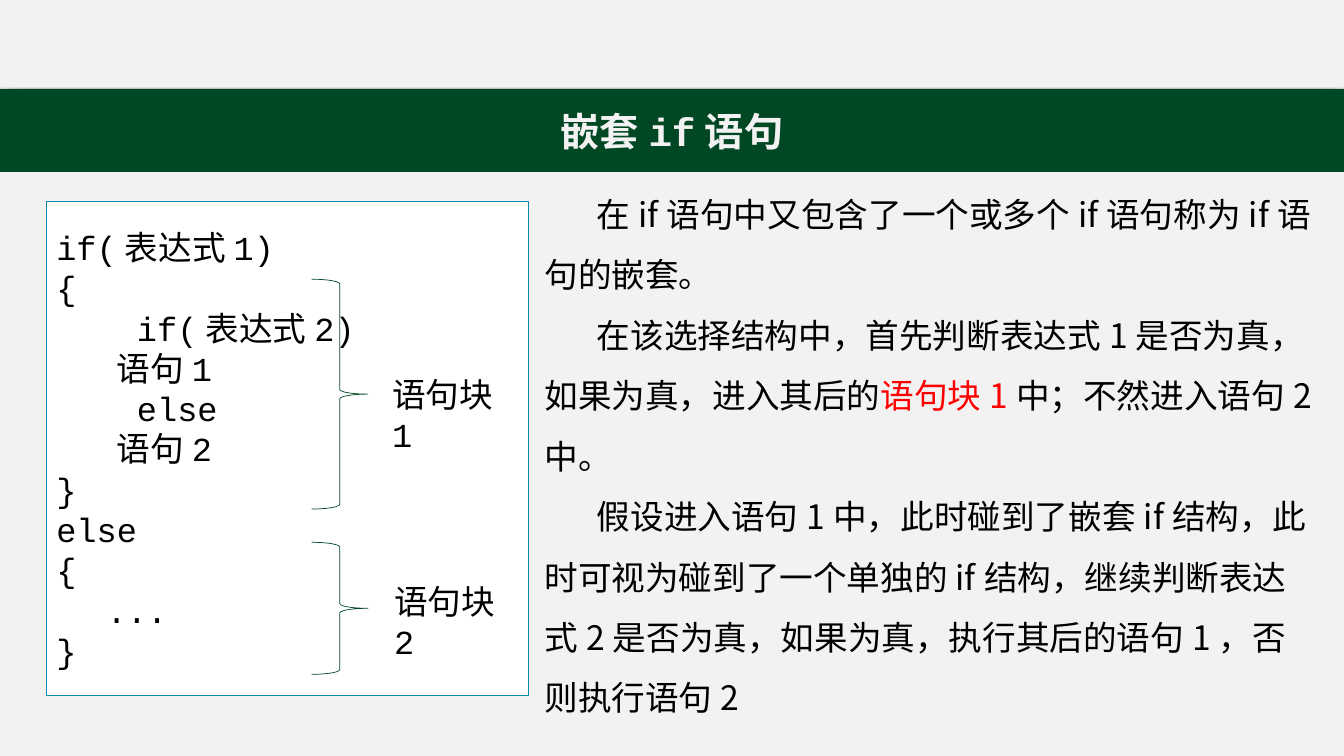
from dataclasses import dataclass

from lxml.etree import SubElement
from pptx import Presentation
from pptx.dml.color import RGBColor
from pptx.enum.shapes import MSO_SHAPE as Preset
from pptx.enum.text import MSO_ANCHOR as Anchor
from pptx.enum.text import MSO_AUTO_SIZE as AutoSize
from pptx.enum.text import PP_ALIGN as Align
from pptx.oxml.ns import qn
from pptx.shapes.base import BaseShape
from pptx.slide import Slide
from pptx.text.text import TextFrame, _Paragraph as Paragraph
from pptx.util import Inches, Pt


@dataclass(frozen=True)
class Theme:
    paper: str = "F2F2F2"
    white: str = "FFFFFF"
    green: str = "004723"
    teal: str = "0989B1"
    ink: str = "000000"
    accent: str = "FF0000"
    sans: str = "Noto Sans CJK SC"
    mono: str = "Courier New"
    title_size: int = 28
    text_size: int = 24


@dataclass(frozen=True)
class Box:
    left: float
    top: float
    width: float
    height: float

    def lengths(self) -> tuple:
        return tuple(Inches(v) for v in (self.left, self.top, self.width, self.height))


@dataclass(frozen=True)
class Span:
    text: str
    font: str
    color: str


@dataclass(frozen=True)
class Block:
    brace: Box
    label: Box
    text: str


THEME = Theme()

TITLE = [Span("嵌套", THEME.sans, THEME.paper),
         Span("if", THEME.mono, THEME.paper),
         Span("语句", THEME.sans, THEME.paper)]

CODE = """if(表达式1)
{
    if(表达式2)
        语句1
    else
        语句2
}
else
{
\t...
}"""

EXPLANATION = [
    [Span("在if语句中又包含了一个或多个if语句称为if语句的嵌套。", THEME.sans, THEME.ink)],
    [Span("在该选择结构中，首先判断表达式1是否为真，如果为真，进入其后的", THEME.sans, THEME.ink),
     Span("语句块1", THEME.sans, THEME.accent),
     Span("中；不然进入语句2中。", THEME.sans, THEME.ink)],
    [Span("假设进入语句1中，此时碰到了嵌套if结构，此时可视为碰到了一个单独的if结构，"
          "继续判断表达式2是否为真，如果为真，执行其后的语句1，否则执行语句2",
          THEME.sans, THEME.ink)],
]

BLOCKS = [
    Block(Box(3.09, 2.77, 0.56, 2.28), Box(3.79, 3.66, 1.43, 0.5), "语句块1"),
    Block(Box(3.09, 5.38, 0.56, 1.31), Box(3.81, 5.71, 1.43, 0.5), "语句块2"),
]


def rgb(color: str) -> RGBColor:
    return RGBColor.from_string(color)


def add_spans(paragraph: Paragraph, spans: list[Span], size: int, bold: bool = False) -> None:
    for span in spans:
        run = paragraph.add_run()
        run.text = span.text
        run.font.size = Pt(size)
        run.font.bold = bold
        run.font.name = span.font
        run.font.color.rgb = rgb(span.color)
        SubElement(run.font._element, qn("a:ea"), typeface=THEME.sans)


def fill_frame(frame: TextFrame, lines: list[list[Span]]) -> list[Paragraph]:
    frame.word_wrap = True
    for index, spans in enumerate(lines):
        paragraph = frame.add_paragraph() if index else frame.paragraphs[0]
        paragraph.alignment = Align.LEFT
        add_spans(paragraph, spans, THEME.text_size)
    return list(frame.paragraphs)


def add_preset(slide: Slide, preset: Preset, box: Box, fill: str = "",
               line: str = "", weight: float = 1) -> BaseShape:
    shape = slide.shapes.add_shape(preset, *box.lengths())
    shape.shadow.inherit = False
    if fill:
        shape.fill.solid()
        shape.fill.fore_color.rgb = rgb(fill)
    else:
        shape.fill.background()
    if line:
        shape.line.color.rgb = rgb(line)
        shape.line.width = Pt(weight)
    else:
        shape.line.fill.background()
    return shape


def add_soft_shadow(shape: BaseShape) -> None:
    effects = shape._element.spPr.find(qn("a:effectLst"))
    shadow = SubElement(effects, qn("a:outerShdw"), blurRad=str(Pt(18)), dist=str(Pt(4)),
                        dir="5400000", algn="t", rotWithShape="0")
    color = SubElement(shadow, qn("a:srgbClr"), val=THEME.ink)
    SubElement(color, qn("a:alpha"), val="29000")


def format_title(slide: Slide) -> None:
    title = slide.shapes.title
    title.left, title.top, title.width, title.height = Box(0, 0.89, 13.33, 0.81).lengths()
    title.fill.solid()
    title.fill.fore_color.rgb = rgb(THEME.green)
    title.line.color.rgb = rgb(THEME.green)
    title.line.width = Pt(1)
    frame = title.text_frame
    frame.auto_size = AutoSize.NONE
    frame.vertical_anchor = Anchor.MIDDLE
    frame.paragraphs[0].alignment = Align.CENTER
    add_spans(frame.paragraphs[0], TITLE, THEME.title_size, bold=True)
    # Bring the title in front of the top band's shadow
    slide.shapes._spTree.append(title._element)


def add_explanation(slide: Slide) -> None:
    frame = slide.shapes.add_textbox(*Box(5.4, 1.72, 7.63, 5.45).lengths()).text_frame
    frame.margin_left = frame.margin_right = frame.margin_top = frame.margin_bottom = 0
    for paragraph in fill_frame(frame, EXPLANATION):
        paragraph.line_spacing = 1.5
        paragraph._p.get_or_add_pPr().set("indent", str(Inches(0.52)))


def add_code(slide: Slide) -> None:
    panel = add_preset(slide, Preset.RECTANGLE, Box(0.46, 2, 4.78, 4.9),
                       THEME.white, THEME.teal)
    panel.text_frame.vertical_anchor = Anchor.MIDDLE
    fill_frame(panel.text_frame,
               [[Span(line, THEME.mono, THEME.ink)] for line in CODE.split("\n")])


def add_block(slide: Slide, block: Block) -> None:
    add_preset(slide, Preset.RIGHT_BRACE, block.brace, line=THEME.green, weight=0.5)
    frame = slide.shapes.add_textbox(*block.label.lengths()).text_frame
    fill_frame(frame, [[Span(block.text, THEME.mono, THEME.ink)]])
    frame.auto_size = AutoSize.SHAPE_TO_FIT_TEXT


def main() -> None:
    deck = Presentation()
    deck.slide_width, deck.slide_height = Inches(13.33), Inches(7.5)
    slide = deck.slides.add_slide(deck.slide_layouts[5])

    # Background and top band
    slide.background.fill.solid()
    slide.background.fill.fore_color.rgb = rgb(THEME.paper)
    top_band = add_preset(slide, Preset.RECTANGLE, Box(0, 0, 13.33, 0.87), THEME.paper)
    add_soft_shadow(top_band)

    # Title, explanation and annotated code
    format_title(slide)
    add_explanation(slide)
    add_code(slide)
    for block in BLOCKS:
        add_block(slide, block)

    deck.save("out.pptx")


if __name__ == "__main__":
    main()
